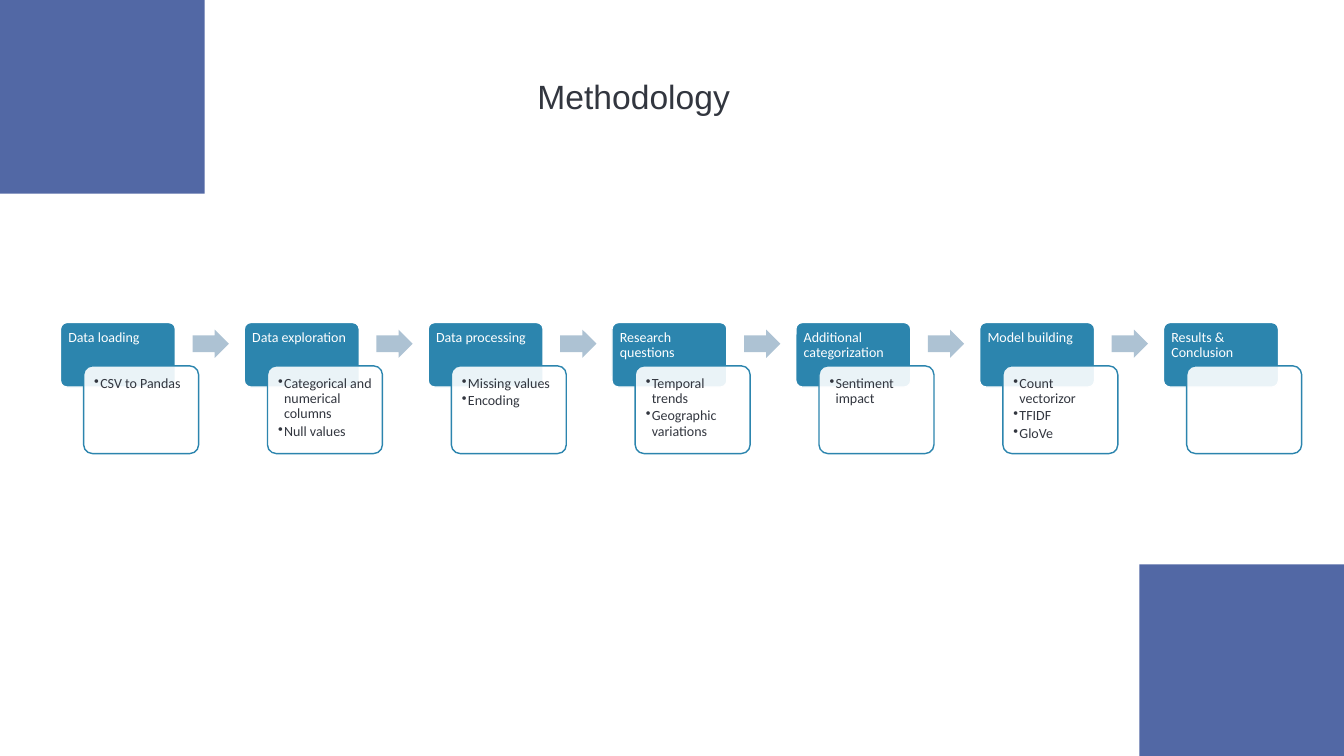
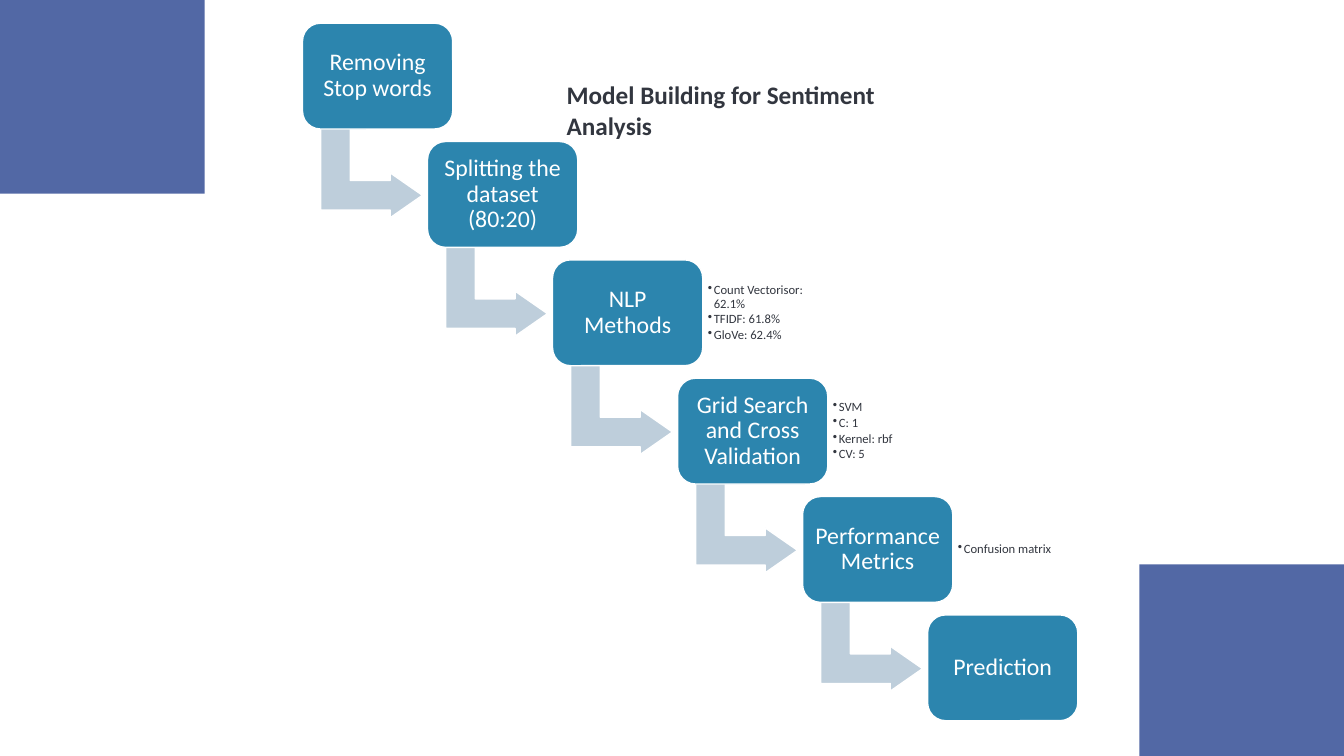
from dataclasses import dataclass
from typing import Optional

from lxml.etree import SubElement
from pptx import Presentation
from pptx.dml.color import RGBColor
from pptx.enum.shapes import MSO_SHAPE as Kind
from pptx.enum.text import MSO_ANCHOR as Anchor, MSO_AUTO_SIZE as Fit, PP_ALIGN as Align
from pptx.oxml.ns import qn
from pptx.shapes.autoshape import Shape
from pptx.slide import Slide
from pptx.text.text import TextFrame
from pptx.util import Inches, Pt

WHITE = RGBColor(0xFF, 0xFF, 0xFF)
INK = RGBColor(0x32, 0x36, 0x3F)
TEAL = RGBColor(0x2C, 0x85, 0xAE)
BAND = RGBColor(0x52, 0x68, 0xA5)
ARROW = RGBColor(0xAD, 0xC2, 0xD3)
BEND = RGBColor(0xBE, 0xCE, 0xDB)
SANS = "Calibri"
WIDTH, HEIGHT = 13.33, 7.5


@dataclass(frozen=True)
class Box:
    left: float
    top: float
    width: float
    height: float

    def emu(self) -> tuple:
        return tuple(Inches(n) for n in (self.left, self.top, self.width, self.height))


@dataclass(frozen=True)
class Style:
    size: float
    color: RGBColor
    font: str = SANS
    bold: bool = False
    align: Align = Align.LEFT
    lead: float = 0.9
    after: float = 0
    bullet: bool = False


@dataclass(frozen=True)
class Step:
    name: str
    notes: tuple[str, ...] = ()


HEAD = Style(10, WHITE)
ITEM = Style(10, INK, after=1.5, bullet=True)
STAGE = Style(17, WHITE, align=Align.CENTER)
NOTE = Style(9, INK, after=1.35, bullet=True)

FLOW = (
    Step("Data loading", ("CSV to Pandas",)),
    Step("Data exploration", ("Categorical and numerical columns", "Null values")),
    Step("Data processing", ("Missing values", "Encoding")),
    Step("Research questions", ("Temporal trends", "Geographic variations")),
    Step("Additional categorization", ("Sentiment impact",)),
    Step("Model building", ("Count vectorizor", "TFIDF", "GloVe")),
    Step("Results & Conclusion"),
)
STAIRS = (
    Step("Removing Stop words"),
    Step("Splitting the dataset (80:20)"),
    Step("NLP Methods", ("Count Vectorisor: 62.1%", "TFIDF: 61.8%", "GloVe: 62.4%")),
    Step("Grid Search and Cross Validation", ("SVM", "C: 1", "Kernel: rbf", "CV: 5")),
    Step("Performance Metrics", ("Confusion matrix",)),
    Step("Prediction"),
)


def write(frame: TextFrame, lines: tuple[str, ...], style: Style,
          inset: float, anchor: Anchor = Anchor.TOP) -> None:
    frame.word_wrap = True
    frame.auto_size = Fit.NONE
    frame.vertical_anchor = anchor
    frame.margin_left = frame.margin_right = Inches(inset)
    frame.margin_top = frame.margin_bottom = Inches(inset)
    for i, line in enumerate(lines):
        para = frame.add_paragraph() if i else frame.paragraphs[0]
        if style.bullet:
            props = para._p.get_or_add_pPr()
            props.set("marL", str(Inches(0.06)))
            props.set("indent", str(Inches(-0.06)))
            SubElement(props, qn("a:buChar")).set("char", "•")
        para.alignment = style.align
        para.line_spacing = style.lead
        para.space_before = Pt(0)
        para.space_after = Pt(style.after)
        run = para.add_run()
        run.text = line
        font = run.font
        font.name, font.size, font.bold = style.font, Pt(style.size), style.bold
        font.color.rgb = style.color


def draw(slide: Slide, kind: Kind, box: Box, fill: RGBColor,
         line: Optional[RGBColor] = None, adjust: tuple[float, ...] = ()) -> Shape:
    shape = slide.shapes.add_shape(kind, *box.emu())
    shape.shadow.inherit = False
    shape.fill.solid()
    shape.fill.fore_color.rgb = fill
    if line is None:
        shape.line.fill.background()
    else:
        shape.line.color.rgb = line
        shape.line.width = Pt(1)
    for i, value in enumerate(adjust):
        shape.adjustments[i] = value
    return shape


def start(deck: Presentation, text: str, box: Box, style: Style, anchor: Anchor) -> Slide:
    slide = deck.slides.add_slide(deck.slide_layouts.get_by_name("Title Only"))
    for band in (Box(0, 0, 2.03, 1.92), Box(WIDTH - 2.03, 5.6, 2.03, 1.9)):
        draw(slide, Kind.RECTANGLE, band, BAND)
    title = slide.shapes.title
    title.left, title.top, title.width, title.height = box.emu()
    write(title.text_frame, (text,), style, 0.1, anchor)
    title.text_frame.margin_top = title.text_frame.margin_bottom = Inches(0.05)
    return slide


def flow(slide: Slide) -> None:
    top, pitch = 3.2, (11.54 - 0.6) / (len(FLOW) - 1)
    for i, step in enumerate(FLOW):
        left = 0.6 + i * pitch
        head = draw(slide, Kind.ROUNDED_RECTANGLE, Box(left, top, 1.14, 0.64), TEAL, WHITE, (0.1,))
        write(head.text_frame, (step.name,), HEAD, 0.06)
        card = draw(slide, Kind.ROUNDED_RECTANGLE, Box(left + 0.23, top + 0.43, 1.14, 0.87),
                    WHITE, TEAL, (0.1,))
        tint = card.fill._xPr.find(qn("a:solidFill"))[0]
        SubElement(tint, qn("a:alpha")).set("val", "90000")
        write(card.text_frame, step.notes, ITEM, 0.08)
        if i < len(FLOW) - 1:
            draw(slide, Kind.RIGHT_ARROW, Box(left + 1.31, top + 0.07, 0.36, 0.28),
                 ARROW, adjust=(0.6, 0.5))


def stairs(slide: Slide) -> None:
    last = len(STAIRS) - 1
    for i, step in enumerate(STAIRS):
        left, top = 3 + i * (9.2 - 3) / last, 0.23 + i * (6.1 - 0.23) / last
        if i < last:
            bend = draw(slide, Kind.BENT_UP_ARROW, Box(left + 0.24, top + 0.98, 0.89, 1.01),
                        BEND, WHITE, (0.33, 0.25, 0.36))
            bend.rotation = 90
        stage = draw(slide, Kind.ROUNDED_RECTANGLE, Box(left, top, 1.49, 1.05),
                     TEAL, WHITE, (0.17,))
        write(stage.text_frame, (step.name,), STAGE, 0.07, Anchor.MIDDLE)
        if step.notes:
            side = slide.shapes.add_textbox(*Box(left + 1.49, top + 0.1, 1.09, 0.85).emu())
            write(side.text_frame, step.notes, NOTE, 0.05, Anchor.MIDDLE)


def main() -> None:
    deck = Presentation()
    deck.slide_width, deck.slide_height = Inches(WIDTH), Inches(HEIGHT)
    flow(start(deck, "Methodology", Box(3.35, 0.59, 5.87, 0.78),
               Style(24, INK, "Arial", align=Align.CENTER), Anchor.MIDDLE))
    stairs(start(deck, "Model Building for Sentiment Analysis", Box(5.52, 0.74, 3.96, 0.7),
                 Style(18, INK, bold=True, lead=1), Anchor.TOP))
    deck.save("out.pptx")


if __name__ == "__main__":
    main()
